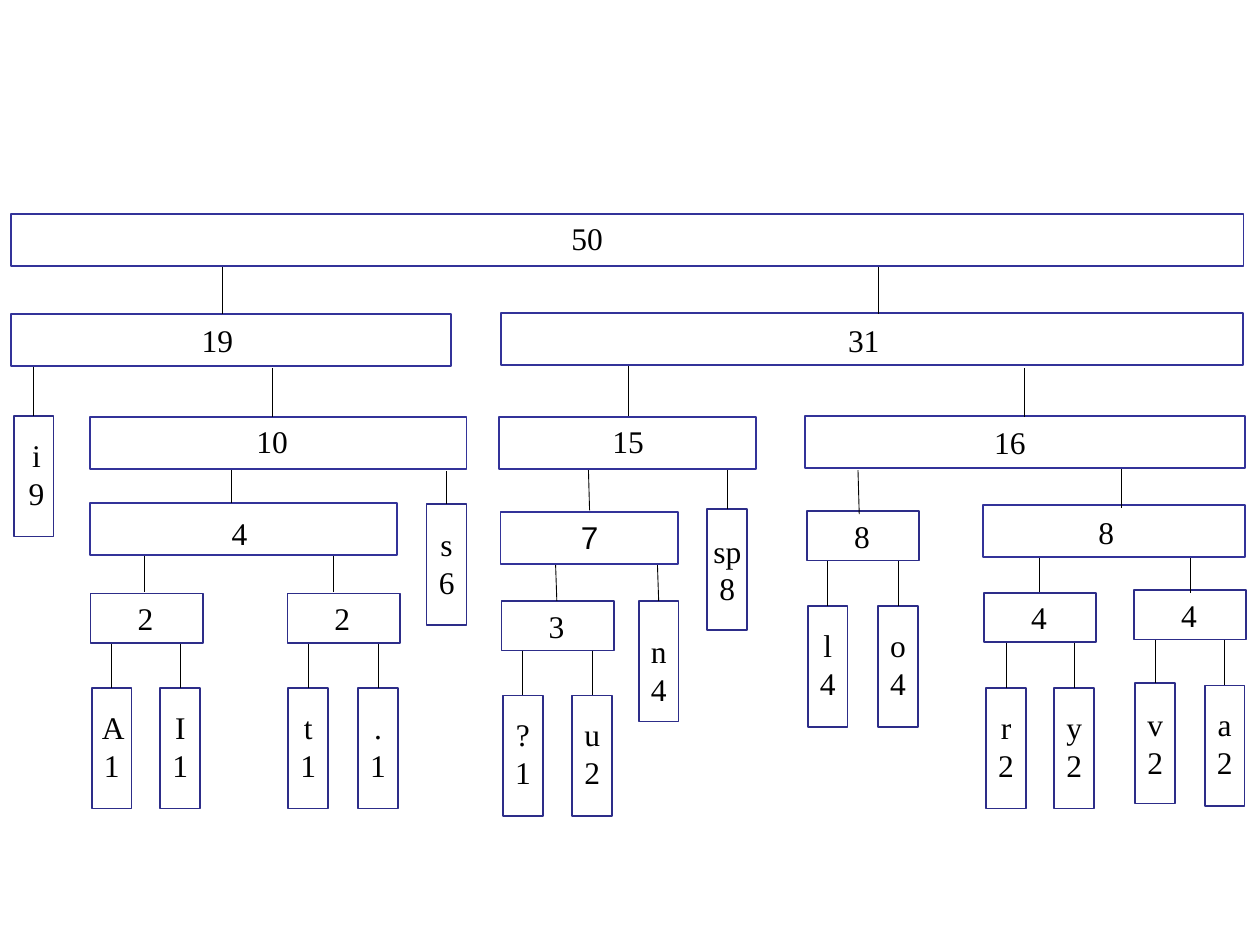
"""Draw a Huffman tree of letter counts on one slide."""
from lxml import etree
from pptx import Presentation
from pptx.dml.color import RGBColor
from pptx.enum import shapes, text
from pptx.oxml import ns
from pptx.util import Pt

BLACK = RGBColor(0, 0, 0)
WHITE = RGBColor(0xFF, 0xFF, 0xFF)
NAVY = RGBColor(0x2D, 0x2D, 0x89)
INDIGO = RGBColor(0x33, 0x33, 0x99)

LEAVES = [
    ("A\n1", 63.8, 393.1, {}),
    ("I1", 103, 393.1, {}),
    ("t\n1", 176.1, 393.1, {}),
    (".1", 216, 393.1, {}),
    ("r2", 574.9, 393.1, {}),
    ("y\n2", 613.8, 393.1, {}),
    ("v\n2", 660.2, 390.2, {"drop": 9.4}),
    ("a2", 699.8, 391.7, {}),
    ("?1", 298.8, 397.4, {}),
    ("u2", 338.4, 397.4, {}),
    ("n4", 376.4, 343.4, {"drop": 14.4, "rise": 20.9, "lean": 0.7}),
    ("l4", 473, 346.3, {}),
    ("o4", 513.2, 346.3, {}),
    ("s6", 255.2, 288, {"wide": 23, "drop": 8.6, "rise": 18.7}),
    ("sp\n8", 415.6, 290.9, {"wide": 44.6, "drop": 9.4}),
    ("i\n9", 19.3, 237.6, {"wide": 44.6, "shift": 1.6}),
]

PAIRS = [
    ("2", 51.8, 339.1, (82.8, 316.1, 338.4)),
    ("2", 164.2, 339.1, (190.8, 317.5, 338.4)),
    ("4", 562.3, 338.8, (594, 316.8, 338.4)),
    ("4", 648, 337.3, (680.4, 317.5, 339.1)),
    ("3", 286.6, 343.6, (317.5, 322.6, 343.4, 0.7)),
    ("8", 461.1, 292.1, (490.3, 268.6, 293.8, 0.7)),
]

BARS = [
    ("4", 51.3, 287.4, 175.7, 136.8, 2.9, (132.5, 268.6, 287.3)),
    ("7", 286, 292.4, 101.5, 337, 0, (336.2, 266.4, 291.6, 0.7)),
    ("8", 561.6, 288.4, 149.8, 632.2, 1.4, (640.8, 262.1, 290.2)),
    ("10", 51.3, 238.3, 215.3, 155.5, -0.7, (155.5, 210.2, 238.3)),
    ("15", 285.2, 238.3, 146.9, 358.9, -0.7, (359.3, 208.8, 237.6)),
    ("16", 460, 237.6, 251.3, 577.1, 0.7, (585.4, 210.2, 238.3)),
    ("19", 6.3, 179.4, 251.6, 124.2, 0.7, (127.4, 150.5, 179.3)),
    ("31", 286.3, 179, 424.2, 493.6, 0.7, (501.8, 150.5, 179.3)),
    ("50", 6.3, 122.4, 704.3, 335.5, -0.7, None),
]


class Tree:
    """Hold the style and the slide."""

    def __init__(self, slide):
        self.items = slide.shapes
        self.face = "Times New Roman"
        self.size = Pt(18)

    def box(self, x, y, wide, high, tint):
        item = self.items.add_shape(
            shapes.MSO_SHAPE.RECTANGLE, Pt(x), Pt(y), Pt(wide), Pt(high))
        item.shadow.inherit = False
        item.fill.solid()
        item.fill.fore_color.rgb = WHITE
        item.line.color.rgb = tint
        item.line.width = Pt(1)

    def label(self, words, mid, y, wide, high=28.8, face=None):
        item = self.items.add_textbox(
            Pt(mid - wide / 2), Pt(y), Pt(wide), Pt(high))
        frame = item.text_frame
        frame.word_wrap = True
        frame.auto_size = text.MSO_AUTO_SIZE.SHAPE_TO_FIT_TEXT
        frame.text = words
        for para in frame.paragraphs:
            para.alignment = text.PP_ALIGN.CENTER
            para.font.name = face or self.face
            para.font.size = self.size
            para.font.color.rgb = BLACK

    def link(self, x, top, base, lean=0):
        item = self.items.add_connector(
            shapes.MSO_CONNECTOR.STRAIGHT,
            Pt(x), Pt(top), Pt(x + lean), Pt(base))
        item.line.color.rgb = BLACK
        item.line.width = Pt(0.5)
        props = item._element.spPr
        etree.SubElement(props, ns.qn("a:effectLst"))

    def leaf(self, words, mid, y, wide=25.2, drop=7.9, rise=28.1,
             lean=0, shift=0):
        self.box(mid - 11.4, y, 22.8, 69, NAVY)
        self.link(mid - lean, y - rise, y, lean)
        self.label(words, mid + shift, y + drop, wide, 50.4)

    def pair(self, words, x, y, stem):
        self.box(x, y, 64.2, 28.2, NAVY)
        self.link(*stem)
        self.label(words, x + 31.4, y - 0.4, 49.7)

    def bar(self, words, x, y, wide, mid, drop, stem):
        self.box(x, y, wide, 29.8, INDIGO)
        if stem:
            self.link(*stem)
        face = "Arial" if words == "7" else None
        self.label(words, mid, y + drop, 48, face=face)


def main():
    deck = Presentation()
    deck.slide_width, deck.slide_height = Pt(720), Pt(540)
    tree = Tree(deck.slides.add_slide(deck.slide_layouts[6]))
    for words, mid, y, extra in LEAVES:
        tree.leaf(words, mid, y, **extra)
    for row in PAIRS:
        tree.pair(*row)
    for row in BARS:
        tree.bar(*row)
    deck.save("out.pptx")


if __name__ == "__main__":
    main()
